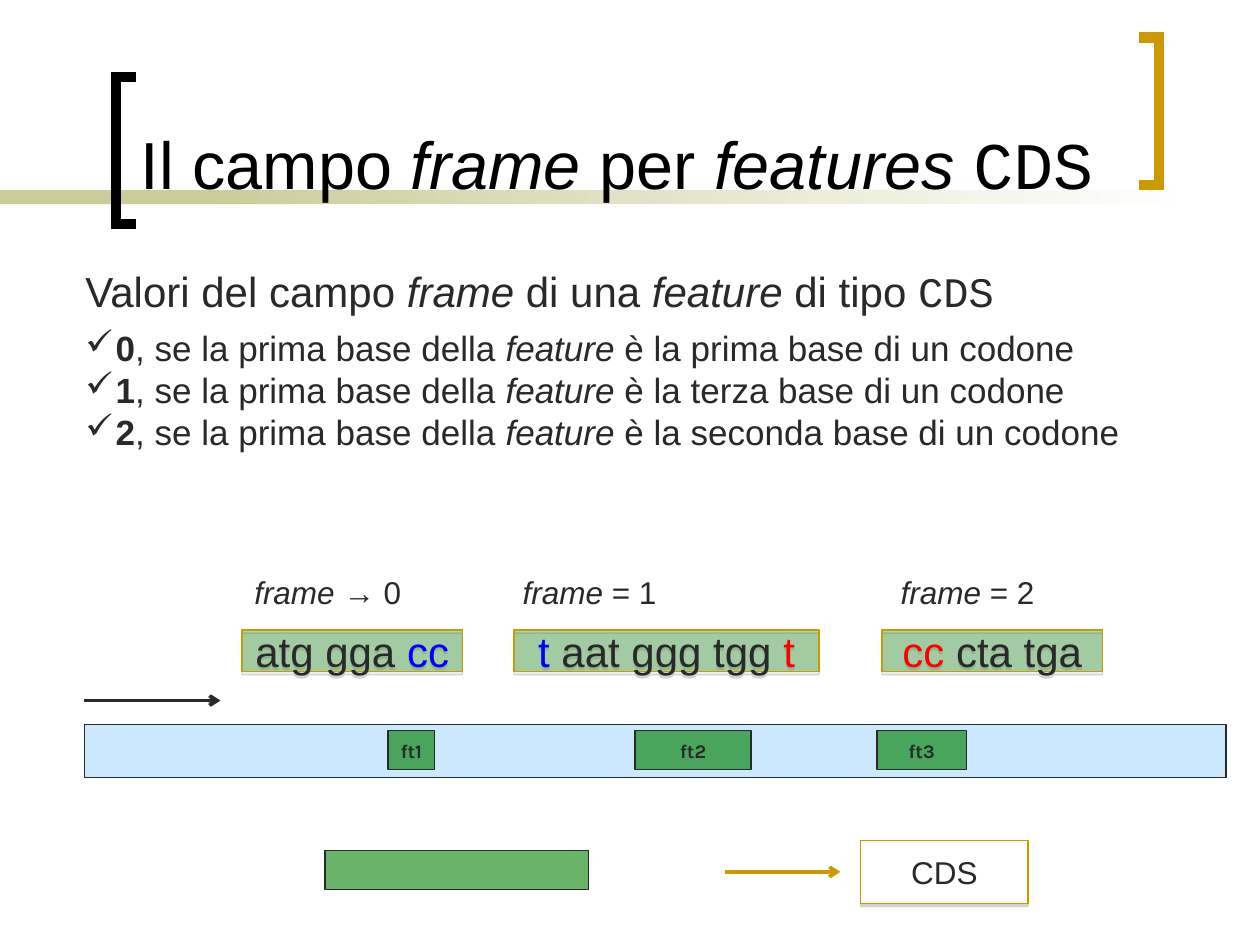
from dataclasses import dataclass

from lxml.etree import SubElement
from pptx import Presentation
from pptx.dml.color import RGBColor
from pptx.enum.shapes import MSO_CONNECTOR as Connector, MSO_SHAPE as Shape
from pptx.enum.text import MSO_ANCHOR as Anchor, MSO_AUTO_SIZE as AutoSize, PP_ALIGN as Align
from pptx.oxml.ns import qn
from pptx.util import Inches, Pt


@dataclass(frozen=True)
class Theme:
    """Colours, fonts and type sizes of the slide."""
    ink: str = "292929"
    black: str = "000000"
    white: str = "FFFFFF"
    gold: str = "CC9900"
    olive: str = "CCCC99"
    green: str = "008000"
    sky: str = "30A7FF"
    blue: str = "0000FF"
    red: str = "FF0000"
    shadow: str = "808080"
    sans: str = "Arial"
    mono: str = "Courier New"
    tag: str = "Karla"
    title: int = 38
    lead: int = 24
    item: int = 20
    label: int = 18
    small: int = 11


THEME = Theme()
ITALIC = {"italic": True}
BOLD = {"bold": True}


def sub(parent, tag, **attributes):
    """Append a drawing element to its parent."""
    return SubElement(parent, qn(f"a:{tag}"), attributes)


def write_runs(paragraph, runs, size, color=THEME.ink, font=THEME.sans):
    """Fill a paragraph with (text, overrides) runs."""
    for text, style in runs:
        run = paragraph.add_run()
        run.text = text
        run.font.size = Pt(size)
        run.font.name = style.get("font", font)
        run.font.color.rgb = RGBColor.from_string(style.get("color", color))
        run.font.bold = style.get("bold", False)
        run.font.italic = style.get("italic", False)


def add_text(slide, box, wrap=True, anchor=Anchor.TOP):
    """Place an empty text box and return its frame."""
    frame = slide.shapes.add_textbox(*map(Inches, box)).text_frame
    frame.word_wrap = wrap
    frame.auto_size = AutoSize.NONE
    frame.vertical_anchor = anchor
    return frame


def add_block(slide, box, fill, alpha=100, line=THEME.ink, shadow=False):
    """Place a rectangle with a see-through fill and an optional drop shadow."""
    block = slide.shapes.add_shape(Shape.RECTANGLE, *map(Inches, box))
    block.shadow.inherit = False
    block.fill.solid()
    block.fill.fore_color.rgb = RGBColor.from_string(fill)
    if alpha < 100:
        sub(block.fill._xPr.find(f".//{qn('a:srgbClr')}"), "alpha", val=str(alpha * 1000))
    if line:
        block.line.color.rgb = RGBColor.from_string(line)
        block.line.width = Pt(0.75)
    else:
        block.line.fill.background()
    if shadow:
        effects = block._element.spPr.find(qn("a:effectLst"))
        drop = sub(effects, "outerShdw", blurRad="0", dist=str(Pt(1.8)), dir="5400000", rotWithShape="0")
        sub(sub(drop, "srgbClr", val=THEME.shadow), "alpha", val="35000")
    return block


def caption_block(block, runs, size, wrap=True, font=THEME.sans):
    """Centre runs of text inside a block."""
    frame = block.text_frame
    frame.word_wrap = wrap
    frame.vertical_anchor = Anchor.MIDDLE
    frame.paragraphs[0].alignment = Align.CENTER
    write_runs(frame.paragraphs[0], runs, size, font=font)


def add_arrow(slide, left, y, length, color):
    """Draw a horizontal arrow pointing right."""
    arrow = slide.shapes.add_connector(Connector.STRAIGHT, *map(Inches, (left, y, left + length, y)))
    arrow.line.color.rgb = RGBColor.from_string(color)
    arrow.line.width = Pt(2)
    sub(arrow.line._get_or_add_ln(), "tailEnd", type="arrow")
    sub(arrow._element.spPr, "effectLst")


def add_bracket(slide, spine, top, arm, color):
    """Draw a square bracket whose arms reach from its spine."""
    bottom = top + 1.17
    points = [(spine + arm, top), (spine, top), (spine, bottom), (spine + arm, bottom)]
    corners = [tuple(map(Inches, point)) for point in points]
    builder = slide.shapes.build_freeform(*corners[0])
    builder.add_line_segments(corners[1:], close=False)
    bracket = builder.convert_to_shape()
    bracket.shadow.inherit = False
    bracket.fill.background()
    bracket.line.color.rgb = RGBColor.from_string(color)
    bracket.line.width = Pt(6)
    sub(bracket.line._get_or_add_ln(), "miter", lim="800000")


def add_header(slide, box):
    """Place the fading rule, the two brackets and the title."""
    left, top, width, height = box
    rule = top + 1.4
    add_block(slide, (0, rule, 2.33, 0.11), THEME.olive, line=None)
    fade = add_block(slide, (1.58, rule, 7.92, 0.11), THEME.olive, line=None)
    fade.fill.gradient()
    fade.fill.gradient_angle = 0
    for stop, color in zip(fade.fill.gradient_stops, (THEME.olive, THEME.white)):
        stop.color.rgb = RGBColor.from_string(color)
    add_bracket(slide, left - 0.1, top + 0.5, 0.16, THEME.black)
    add_bracket(slide, left + width + 0.35, top + 0.19, -0.16, THEME.gold)
    title = add_text(slide, box, anchor=Anchor.BOTTOM)
    runs = [("Il campo ", {}), ("frame", ITALIC), (" per ", {}), ("features ", ITALIC),
            ("CDS", {"font": THEME.mono})]
    write_runs(title.paragraphs[0], runs, THEME.title, THEME.black)


def add_values(slide, box):
    """Place the lead sentence and the ticked list of frame values."""
    frame = add_text(slide, box)
    lead = [("Valori del campo ", {}), ("frame", ITALIC), (" di una ", {}), ("feature", ITALIC),
            (" di tipo ", {}), ("CDS", {"font": THEME.mono})]
    write_runs(frame.paragraphs[0], lead, THEME.lead)
    for value, position in enumerate(("prima", "terza", "seconda")):
        item = frame.add_paragraph()
        properties = item._p.get_or_add_pPr()
        properties.set("marL", str(Inches(0.24)))
        properties.set("indent", str(Inches(-0.24)))
        sub(sub(properties, "buClr"), "srgbClr", val=THEME.ink)
        sub(properties, "buChar", char="✓")
        if value == 0:
            item.space_before = Pt(6)
        runs = [(str(value), BOLD), (", se la prima base della ", {}), ("feature", ITALIC),
                (f" è la {position} base di un codone", {})]
        write_runs(item, runs, THEME.item)


def add_exon(slide, box, label_left, label, codons):
    """Place a codon block with its frame label above."""
    left, top, width, height = box
    add_text_runs = add_text(slide, (label_left, top - 0.5, 1.36, 0.4), wrap=False)
    write_runs(add_text_runs.paragraphs[0], [("frame", ITALIC), (label, {})], THEME.label)
    exon = add_block(slide, box, THEME.green, 32, THEME.gold, shadow=True)
    caption_block(exon, codons, THEME.lead)


def add_sequence(slide, box):
    """Place the genomic strip, its direction arrow and its features."""
    left, top, width, height = box
    add_block(slide, box, THEME.sky, 25)
    add_arrow(slide, left, top - 0.19, 1.08, THEME.ink)
    features = [(2.41, 0.37), (4.37, 0.92), (6.29, 0.71)]
    for number, (offset, length) in enumerate(features, 1):
        feature = add_block(slide, (left + offset, top + 0.05, length, height - 0.11), THEME.green, 64)
        caption_block(feature, [(f"ft{number}", BOLD)], THEME.small, wrap=False, font=THEME.tag)


def add_legend(slide, box):
    """Place the colour key, its arrow and the CDS box."""
    left, top, width, height = box
    add_block(slide, (left, top + 0.08, 2.09, 0.31), THEME.green, 59)
    add_arrow(slide, left + 3.17, top + height / 2, 0.92, THEME.gold)
    cds = add_block(slide, (left + width - 1.33, top, 1.33, height), THEME.white, line=THEME.gold, shadow=True)
    caption_block(cds, [("CDS", {})], THEME.label)


def main():
    """Build the slide and save it."""
    deck = Presentation()
    deck.slide_width, deck.slide_height = Inches(10), Inches(7.5)
    slide = deck.slides.add_slide(deck.slide_layouts[6])
    blue, red = {"color": THEME.blue}, {"color": THEME.red}
    add_header(slide, (1.02, 0.11, 7.83, 1.55))
    add_legend(slide, (2.58, 6.67, 5.58, 0.5))
    add_sequence(slide, (0.67, 5.75, 9.06, 0.42))
    exons = [(1.92, 1.75, 1.92, " → 0", [("atg gga ", {}), ("cc", blue)]),
             (4.08, 2.42, 4.05, " = 1", [("t", blue), (" aat ggg tgg ", {}), ("t", red)]),
             (7, 1.75, 7.05, " = 2", [("cc", red), (" cta tga", {})])]
    for left, width, label_left, label, codons in exons:
        add_exon(slide, (left, 5, width, 0.33), label_left, label, codons)
    add_values(slide, (0.58, 2.06, 8.58, 1.59))
    deck.save("out.pptx")


if __name__ == "__main__":
    main()
